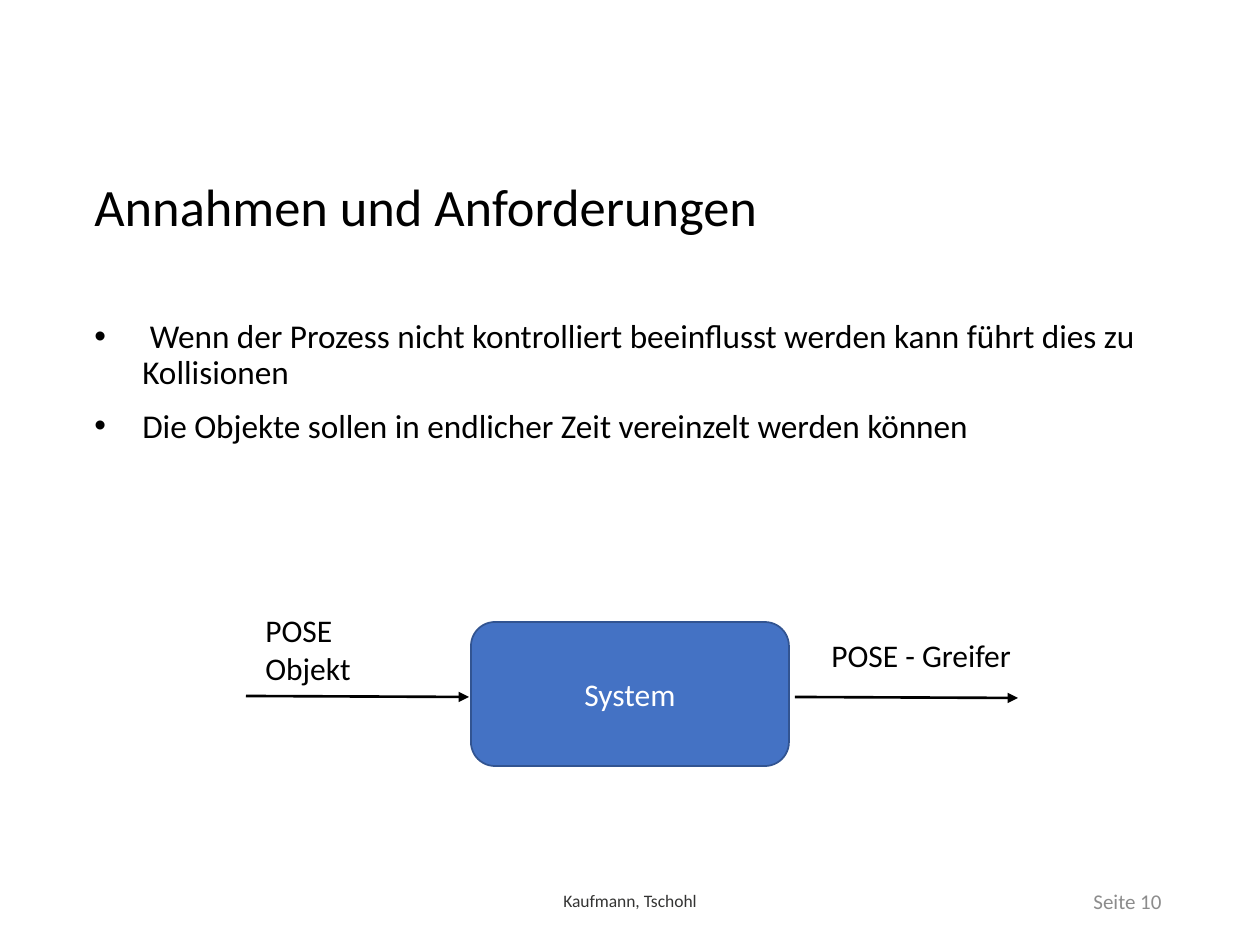
"""Build the slide on assumptions and requirements with a system diagram."""
from lxml import etree
from pptx import Presentation
from pptx import util as u
from pptx.dml.color import RGBColor
from pptx.enum import shapes, text
from pptx.oxml.ns import qn

COLORS = {"ink": "000000", "box": "4472C4", "edge": "325491",
          "inverse": "FFFFFF", "authors": "343433", "page": "8C8C8C"}
BULLET_INDENT = 48


def px(n):
    return u.Emu(round(n * 914400 / 126))


def write(shape, lines, size, color, **formats):
    frame = shape.text_frame
    frame.word_wrap = True
    frame.vertical_anchor = formats.pop("anchor", text.MSO_ANCHOR.TOP)
    bullet = formats.pop("bullet", None)
    gap = formats.pop("gap", 0)
    frame.text = "\n".join(lines)
    for i, paragraph in enumerate(frame.paragraphs):
        if bullet:
            props = paragraph._p.get_or_add_pPr()
            props.set("marL", str(px(BULLET_INDENT)))
            props.set("indent", str(-px(BULLET_INDENT)))
            etree.SubElement(props, qn("a:buFont")).set("typeface", "Arial")
            etree.SubElement(props, qn("a:buChar")).set("char", bullet)
        if i and gap:
            paragraph.space_before = u.Pt(gap)
        for name, value in formats.items():
            setattr(paragraph, name, value)
        for run in paragraph.runs:
            run.font.name = "Calibri"
            run.font.size = u.Pt(size)
            run.font.color.rgb = RGBColor.from_string(COLORS[color])


deck = Presentation()
deck.slide_width, deck.slide_height = px(1260), px(945)
slide = deck.slides.add_slide(deck.slide_layouts[6])

middle = text.MSO_ANCHOR.MIDDLE
center, right = text.PP_ALIGN.CENTER, text.PP_ALIGN.RIGHT
requirements = [
    " Wenn der Prozess nicht kontrolliert beeinflusst werden kann führt dies zu Kollisionen",
    "Die Objekte sollen in endlicher Zeit vereinzelt werden können",
]
passages = [
    ((82, 314, 1086, 515), requirements, 19, "ink",
     {"bullet": "•", "gap": 10, "line_spacing": 0.9}),
    ((890, 876, 284, 50), ["Seite 10"], 12, "page", {"anchor": middle, "alignment": right}),
    ((82, 175, 1086, 74), ["Annahmen und Anforderungen"], 30, "ink", {"line_spacing": 0.9}),
    ((417, 876, 426, 50), ["Kaufmann, Tschohl"], 10, "authors",
     {"anchor": middle, "alignment": center}),
    ((253, 605, 116, 89), ["POSE", "Objekt"], 18, "ink", {}),
    ((819, 630, 276, 50), ["POSE - Greifer"], 18, "ink", {}),
]
for bounds, lines, size, color, formats in passages:
    write(slide.shapes.add_textbox(*map(px, bounds)), lines, size, color, **formats)

system = slide.shapes.add_shape(shapes.MSO_SHAPE.ROUNDED_RECTANGLE,
                                *map(px, (471, 622, 318, 144)))
system.shadow.inherit = False
system.fill.solid()
system.fill.fore_color.rgb = RGBColor.from_string(COLORS["box"])
system.line.color.rgb = RGBColor.from_string(COLORS["edge"])
system.line.width = u.Pt(1)
write(system, ["System"], 18, "inverse", anchor=middle, alignment=center)

for flow in [(246, 696, 469, 697), (795, 697, 1018, 698)]:
    arrow = slide.shapes.add_connector(shapes.MSO_CONNECTOR.STRAIGHT, *map(px, flow))
    arrow.line.color.rgb = RGBColor.from_string(COLORS["ink"])
    arrow.line.width = u.Pt(1.5)
    etree.SubElement(arrow.line._get_or_add_ln(), qn("a:tailEnd")).set("type", "triangle")
    etree.SubElement(arrow._element.spPr, qn("a:effectLst"))

deck.save("out.pptx")
